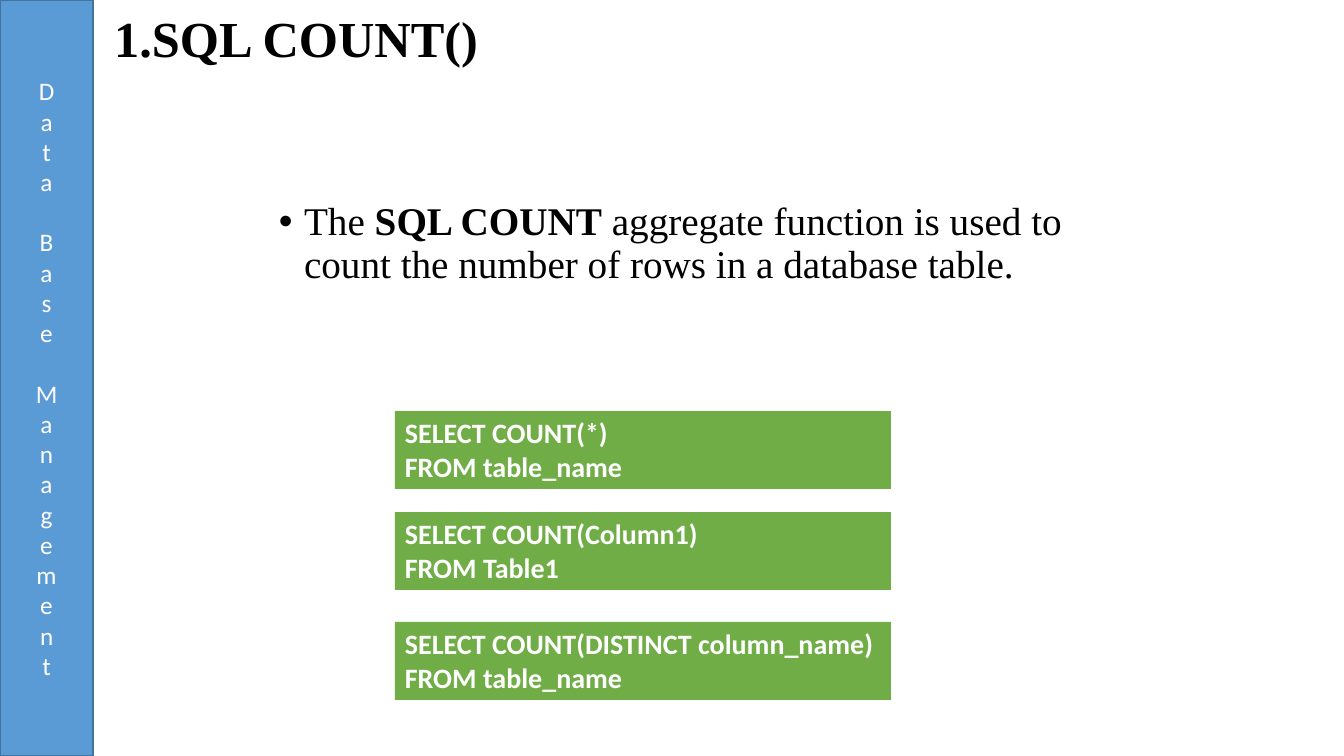
from dataclasses import dataclass

from lxml.etree import SubElement
from pptx import Presentation
from pptx.dml.color import RGBColor
from pptx.enum.shapes import MSO_SHAPE as Shape
from pptx.enum.text import MSO_ANCHOR as Anchor, MSO_AUTO_SIZE as AutoSize, PP_ALIGN as Align
from pptx.oxml.ns import qn
from pptx.util import Emu, Pt

EMU_PER_PX = 914400 / 100.8


@dataclass(frozen=True)
class Theme:
    """Colours, fonts and type sizes of the slide."""
    ink: str = "000000"
    paper: str = "FFFFFF"
    banner: str = "5B9BD5"
    banner_edge: str = "43739E"
    query: str = "70AD47"
    serif: str = "Times New Roman"
    sans: str = "Calibri"
    title_size: int = 36
    body_size: int = 28
    query_size: int = 20
    banner_size: int = 18


THEME = Theme()


def px(length):
    """Turn pixels into EMU."""
    return Emu(round(length * EMU_PER_PX))


def write(shape, lines, size, font, color, bold=False, align=Align.LEFT,
          anchor=Anchor.TOP, spacing=None, auto_size=AutoSize.NONE):
    """Fill a shape with formatted lines and return its paragraphs."""
    frame = shape.text_frame
    frame.word_wrap = True
    frame.auto_size = auto_size
    frame.vertical_anchor = anchor
    frame.text = "\n".join(lines)
    for paragraph in frame.paragraphs:
        paragraph.alignment = align
        paragraph.line_spacing = spacing
        for run in paragraph.runs:
            run.font.size = Pt(size)
            run.font.name = font
            run.font.bold = bold
            run.font.color.rgb = RGBColor.from_string(color)
    return frame.paragraphs


def add_panel(slide, box, fill, edge=None):
    """Add a filled rectangle, outlined only when an edge colour is given."""
    panel = slide.shapes.add_shape(Shape.RECTANGLE, *map(px, box))
    panel.shadow.inherit = False
    panel.fill.solid()
    panel.fill.fore_color.rgb = RGBColor.from_string(fill)
    if edge:
        panel.line.color.rgb = RGBColor.from_string(edge)
        panel.line.width = Pt(1)
    else:
        panel.line.fill.background()
    return panel


def add_banner(slide, text):
    """Add the side banner with stacked letters."""
    banner = add_panel(slide, (0, 0, 93, 756), THEME.banner, THEME.banner_edge)
    write(banner, [text], THEME.banner_size, THEME.sans, THEME.paper,
          align=Align.CENTER, anchor=Anchor.MIDDLE)
    banner.text_frame._txBody.bodyPr.set("vert", "wordArtVert")


def set_title(slide, text):
    """Place and format the slide title."""
    title = slide.shapes.title
    title.left, title.top, title.width, title.height = map(px, (104, 12, 1221, 58))
    write(title, [text], THEME.title_size, THEME.serif, THEME.ink,
          bold=True, anchor=Anchor.MIDDLE, spacing=0.9)


def add_definition(slide, lead, term, rest):
    """Add the bulleted definition with its term in bold."""
    definition = slide.shapes.add_textbox(*map(px, (269, 197, 857, 173)))
    paragraph = write(definition, [lead], THEME.body_size, THEME.serif,
                      THEME.ink, spacing=0.9)[0]
    for text, bold in ((term, True), (rest, False)):
        run = paragraph.add_run()
        run.text = text
        run.font.size = Pt(THEME.body_size)
        run.font.name = THEME.serif
        run.font.bold = bold
        run.font.color.rgb = RGBColor.from_string(THEME.ink)
    properties = paragraph._p.get_or_add_pPr()
    properties.set("marL", "228600")
    properties.set("indent", "-228600")
    SubElement(properties, qn("a:buFont"), typeface="Arial")
    SubElement(properties, qn("a:buChar"), char="•")


def add_query(slide, top, lines):
    """Add one green query box."""
    query = add_panel(slide, (395, top, 496, 78), THEME.query)
    write(query, lines, THEME.query_size, THEME.sans, THEME.paper, bold=True,
          auto_size=AutoSize.SHAPE_TO_FIT_TEXT)


def main():
    """Build and save the slide."""
    deck = Presentation()
    deck.slide_width, deck.slide_height = px(1344), px(756)
    slide = deck.slides.add_slide(deck.slide_layouts[5])
    add_banner(slide, "Data Base Management")
    set_title(slide, "1.SQL COUNT()")
    add_definition(slide, "The ", "SQL COUNT",
                   " aggregate function is used to count the number of rows in a database table.")
    queries = (
        (411, ["SELECT COUNT(*)", "FROM table_name"]),
        (512, ["SELECT COUNT(Column1)\vFROM Table1"]),
        (622, ["SELECT COUNT(DISTINCT column_name) FROM table_name"]),
    )
    for top, lines in queries:
        add_query(slide, top, lines)
    deck.save("out.pptx")


if __name__ == "__main__":
    main()
